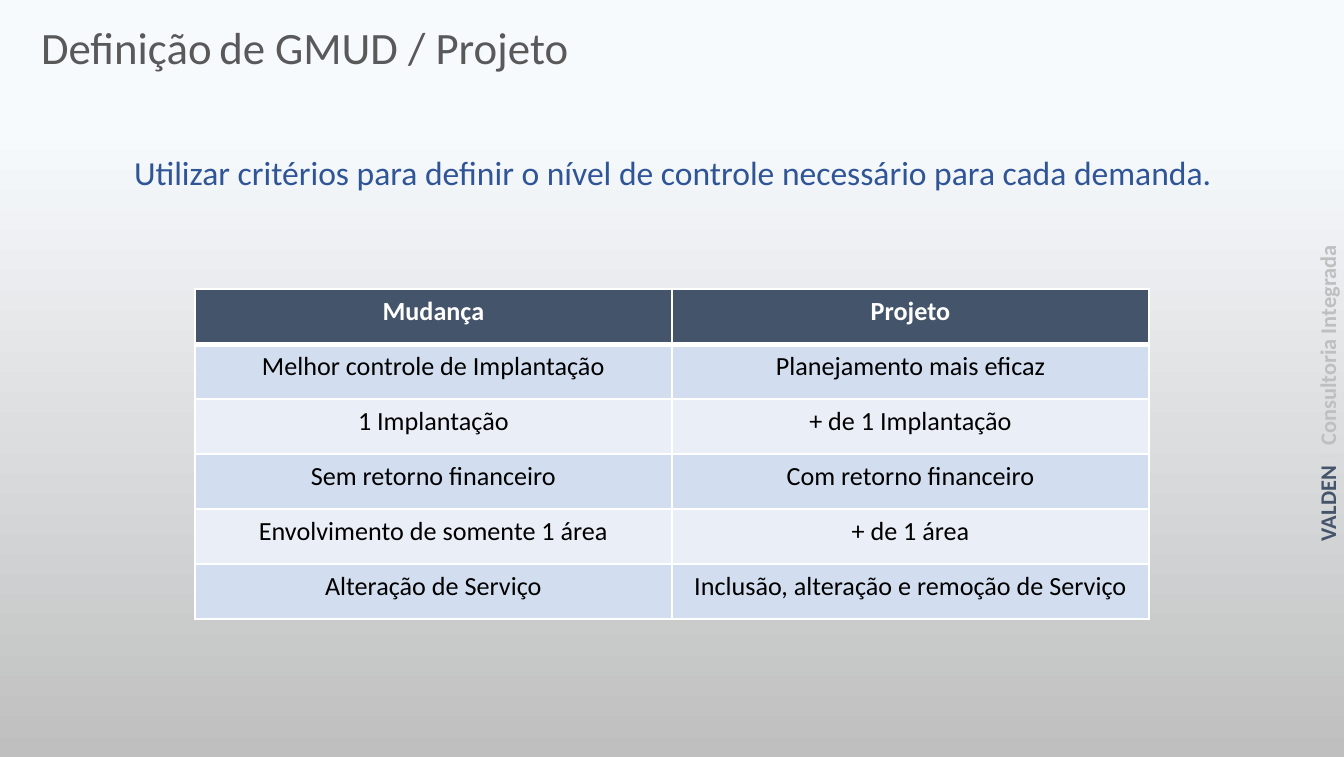
from lxml.etree import SubElement
from pptx import Presentation
from pptx.dml.color import RGBColor
from pptx.enum.text import MSO_ANCHOR as Anchor, MSO_AUTO_SIZE as AutoSize, PP_ALIGN as Align
from pptx.oxml.ns import qn
from pptx.util import Pt

FONT = "Calibri"
SKY = RGBColor(0xF7, 0xFA, 0xFD)
SILVER = RGBColor(0xBF, 0xBF, 0xBF)
PALE_GRAY = RGBColor(0xD9, 0xD9, 0xD9)
GRAY = RGBColor(0x59, 0x59, 0x59)
SLATE = RGBColor(0x44, 0x54, 0x6A)
BLUE = RGBColor(0x2F, 0x55, 0x97)
BAND_DARK = RGBColor(0xD2, 0xDE, 0xEF)
BAND_LIGHT = RGBColor(0xEA, 0xEF, 0xF7)
WHITE = RGBColor(0xFF, 0xFF, 0xFF)
BLACK = RGBColor(0, 0, 0)

CRITERIA = [
    ("Mudança", "Projeto"),
    ("Melhor controle de Implantação", "Planejamento mais eficaz"),
    ("1 Implantação", "+ de 1 Implantação"),
    ("Sem retorno financeiro", "Com retorno financeiro"),
    ("Envolvimento de somente 1 área", "+ de 1 área"),
    ("Alteração de Serviço", "Inclusão, alteração e remoção de Serviço"),
]


def style_font(font, size, color, bold=False):
    font.name, font.size, font.bold = FONT, Pt(size), bold
    font.color.rgb = color


def write_spans(para, spans):
    for text, size, color, bold in spans:
        span = para.add_run()
        span.text = text
        style_font(span.font, size, color, bold)


def set_frame(frame, side, edge):
    frame.word_wrap = True
    frame.auto_size = AutoSize.NONE
    frame.vertical_anchor = Anchor.TOP
    frame.margin_left = frame.margin_right = Pt(side)
    frame.margin_top = frame.margin_bottom = Pt(edge)


def paint_background(page):
    fill = page.background.fill
    fill.gradient()
    fill.gradient_angle = 270
    for stop, color, position in zip(fill.gradient_stops, (SKY, SILVER), (0.17, 1)):
        stop.color.rgb = color
        stop.position = position


def add_title(page):
    title = page.shapes.title
    title.left, title.top, title.width, title.height = Pt(0.4), Pt(5), Pt(587), Pt(40.5)
    set_frame(title.text_frame, 21.6, 5.76)
    para = title.text_frame.paragraphs[0]
    para.alignment = Align.LEFT
    write_spans(para, [
        ("Definição", 24, GRAY, False),
        (" ", 18, SLATE, False),
        ("de GMUD / Projeto", 24, GRAY, False),
    ])


def add_box(page, left, top, width, height, side, edge, align):
    box = page.shapes.add_textbox(Pt(left), Pt(top), Pt(width), Pt(height))
    set_frame(box.text_frame, side, edge)
    para = box.text_frame.paragraphs[0]
    para.alignment = align
    return box, para


def add_signature(page):
    box, para = add_box(page, 622, 202.4, 176.4, 20, 7.2, 3.6, Align.RIGHT)
    box.rotation = 270
    write_spans(para, [
        ("VALDEN", 12, SLATE, True),
        (" | ", 12, PALE_GRAY, False),
        ("Consultoria Integrada", 12, SILVER, True),
    ])


def add_message(page):
    para = add_box(page, 18.2, 78.1, 684.7, 52.6, 28, 5.76, Align.CENTER)[1]
    para.text = "Utilizar critérios para definir o nível de controle necessário para cada demanda."
    para.line_spacing = 0.9
    para.space_after = Pt(10)
    style_font(para.font, 18, BLUE)


def set_border(cell, side, width):
    line = SubElement(cell._tc.get_or_add_tcPr(), qn(f"a:ln{side}"), w=str(Pt(width)))
    SubElement(SubElement(line, qn("a:solidFill")), qn("a:srgbClr"), val=str(WHITE))


def fill_cell(cell, text, row):
    header = row == 0
    for side, thick in (("L", False), ("R", False), ("T", row == 1), ("B", header)):
        set_border(cell, side, 3 if thick else 1)
    cell.fill.solid()
    cell.fill.fore_color.rgb = SLATE if header else BAND_DARK if row % 2 else BAND_LIGHT
    para = cell.text_frame.paragraphs[0]
    para.text = text
    para.alignment = Align.CENTER
    style_font(para.font, 14, WHITE if header else BLACK, header)


def add_criteria_table(page):
    shape = page.shapes.add_table(len(CRITERIA), 2, Pt(104.4), Pt(154.8), Pt(511.2), Pt(176.6))
    for row, texts in enumerate(CRITERIA):
        for column, text in enumerate(texts):
            fill_cell(shape.table.cell(row, column), text, row)


def main():
    """Build the slide that compares changes with projects."""
    deck = Presentation()
    deck.slide_width, deck.slide_height = Pt(720), Pt(405.36)
    page = deck.slides.add_slide(deck.slide_layouts[5])
    paint_background(page)
    add_signature(page)
    add_title(page)
    add_message(page)
    add_criteria_table(page)
    deck.save("out.pptx")


if __name__ == "__main__":
    main()
